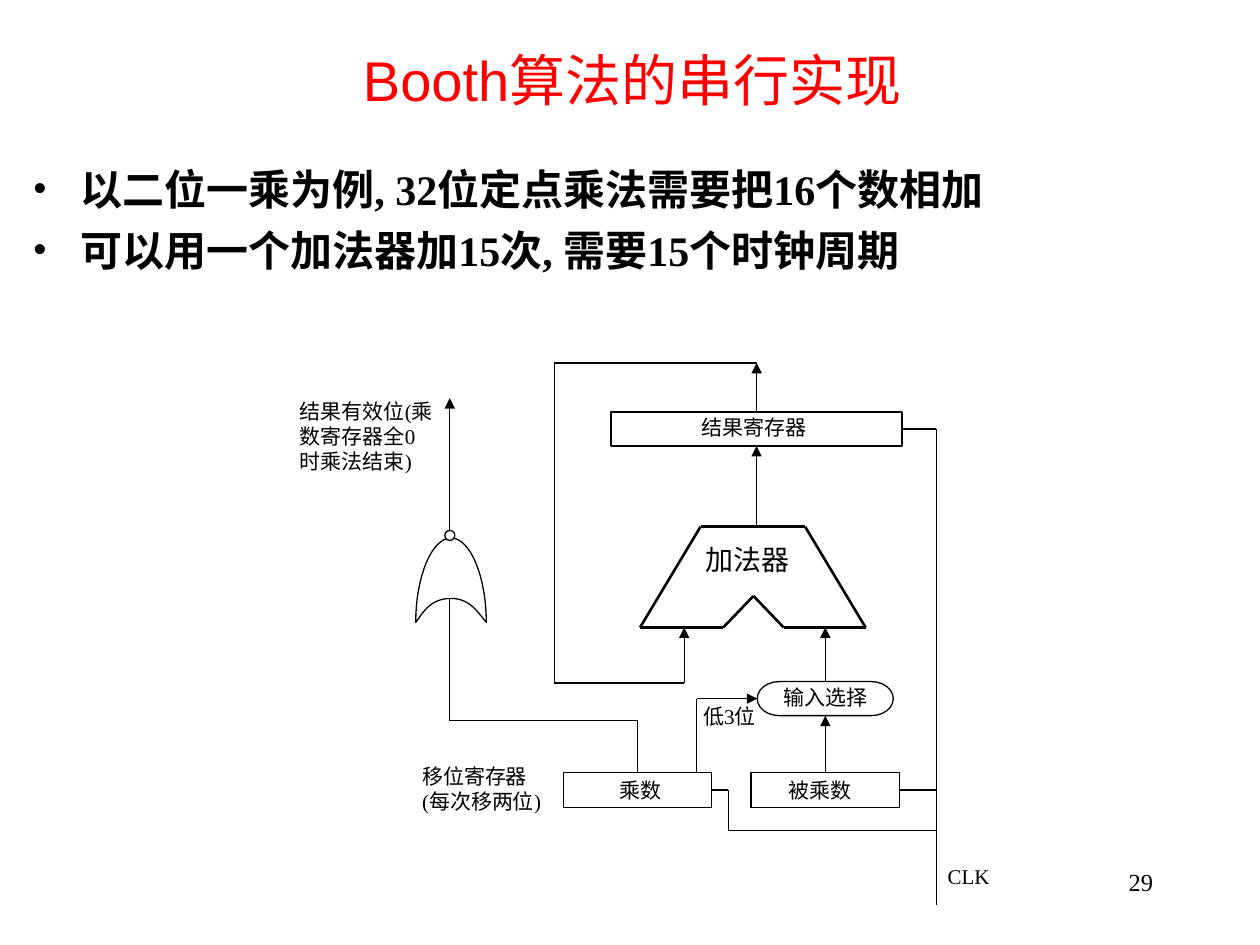
from itertools import pairwise
from pptx import Presentation
from pptx.dml.color import RGBColor
from pptx.enum.shapes import MSO_CONNECTOR, MSO_SHAPE
from pptx.enum.text import MSO_ANCHOR, PP_ALIGN
from pptx.oxml.ns import qn
from pptx.util import Inches, Pt
from lxml.etree import SubElement

COLS, ROWS = 100, 75
WIDE, HIGH = Inches(10), Inches(7.5)
BLACK, WHITE, RED = "000000", "FFFFFF", "FF0000"
SERIF, SANS = "Times New Roman", "Arial"

TITLE = "Booth算法的串行实现"
POINTS = ["以二位一乘为例, 32位定点乘法需要把16个数相加",
          "可以用一个加法器加15次, 需要15个时钟周期"]

BOXES = {
    "result": (MSO_SHAPE.RECTANGLE, (48.5, 32.7, 23.1, 2.7), WHITE),
    "factor": (MSO_SHAPE.RECTANGLE, (44.7, 61.3, 11.8, 2.8), WHITE),
    "operand": (MSO_SHAPE.RECTANGLE, (59.6, 61.3, 11.8, 2.8), WHITE),
    "select": (MSO_SHAPE.FLOWCHART_TERMINATOR, (60.1, 54.1, 10.8, 2.7), None),
    "bubble": (MSO_SHAPE.OVAL, (35.3, 42.1, 0.8, 0.8), WHITE),
}

LABELS = [
    ("加法器", (56, 43.1, 8.4, 3.6), 16),
    ("输入选择", (62.2, 54.3, 7.4, 2.1), 12),
    ("被乘数", (62.6, 61.7, 5.2, 2), 12),
    ("乘数", (49.2, 61.7, 4.1, 2), 12),
    ("低3位", (55.8, 55.8, 4.9, 4), 12),
    ("移位寄存器(每次移两位)", (33.5, 60.6, 9.9, 6), 12),
    ("CLK", (75.2, 68.5, 4.1, 2), 12),
    ("结果寄存器", (55.7, 32.9, 8.7, 2), 12),
    ("结果有效位(乘数寄存器全0时乘法结束)", (23.8, 31.6, 10.8, 8), 12),
]

ADDER = [(55.6, 41.8), (63.9, 41.8), (68.7, 49.8), (62.2, 49.8),
         (59.8, 47.3), (57.4, 49.8), (50.8, 49.8), (55.6, 41.8)]

GATE = [[(38.6, 49.4), (37.8, 48.4), (37.2, 47.5), (35.8, 47.5)],
        [(35.8, 47.5), (34.3, 47.5), (33.7, 48.4), (33, 49.4)],
        [(33, 49.4), (33, 45.7), (34.3, 42.7), (35.8, 42.7)],
        [(35.8, 42.7), (37.3, 42.7), (38.6, 45.7), (38.6, 49.4)]]

TOP, LEFT, BOTTOM, RIGHT = range(4)
ARROWS = [
    [("operand", TOP), ("select", BOTTOM)],
    [("select", TOP), (65.5, 49.8)],
    [("result", TOP), (60.05, 28.8)],
    [(60.05, 28.8), (44, 28.8), (44, 54.2), (54.3, 54.2), (54.3, 49.8)],
    [(55.3, 61.3), (55.3, 55.45), ("select", LEFT)],
    [(60.05, 41.8), ("result", BOTTOM)],
    [("bubble", TOP), (35.7, 31.6)],
]
WIRES = [
    [("result", RIGHT), (74.3, 34.05), (74.3, 71.8)],
    [("operand", RIGHT), (74.3, 62.7)],
    [("factor", RIGHT), (57.8, 62.7), (57.8, 65.9), (74.3, 65.9)],
    [(35.7, 47.5), (35.7, 57.2), (50.6, 57.2), ("factor", TOP)],
]

deck = Presentation()
deck.slide_width, deck.slide_height = WIDE, HIGH
slide = deck.slides.add_slide(deck.slide_layouts[6])
shapes = slide.shapes
made = {}


def place(x, y):
    return round(WIDE * x / COLS), round(HIGH * y / ROWS)


def area(x, y, w, h):
    return *place(x, y), *place(w, h)


def tint(code):
    return RGBColor.from_string(code)


def paint(shape, fill):
    shape.shadow.inherit = False
    if fill:
        shape.fill.solid()
        shape.fill.fore_color.rgb = tint(fill)
    else:
        shape.fill.background()
    shape.line.color.rgb = tint(BLACK)
    shape.line.width = Pt(0.75)


def write(lines, spot, size, font=SERIF, color=BLACK, bold=False,
          align=PP_ALIGN.LEFT, inset=(0, 0)):
    frame = shapes.add_textbox(*area(*spot)).text_frame
    frame.word_wrap = True
    frame.margin_left = frame.margin_right = Inches(inset[0])
    frame.margin_top = frame.margin_bottom = Inches(inset[1])
    frame.text = "\n".join(lines)
    for para in frame.paragraphs:
        para.alignment = align
        para.font.size = Pt(size)
        para.font.name = font
        para.font.bold = bold
        para.font.color.rgb = tint(color)
    return frame


def bullet(para):
    para.line_spacing = 1.1
    para.space_before = Pt(3)
    props = para._p.get_or_add_pPr()
    props.set("marL", str(Inches(0.38)))
    props.set("indent", str(-Inches(0.38)))
    face = SubElement(props, qn("a:buFont"))
    face.set("typeface", SERIF)
    mark = SubElement(props, qn("a:buChar"))
    mark.set("char", "•")
    props.find(qn("a:spcBef")).addnext(face)
    face.addnext(mark)


def spot(end):
    if end[0] not in BOXES:
        return end
    name, side = end
    x, y, w, h = BOXES[name][1]
    return [(x + w / 2, y), (x, y + h / 2),
            (x + w / 2, y + h), (x + w, y + h / 2)][side]


def trace(ends, arrow=False, width=0.75):
    for start, stop in pairwise(ends):
        line = shapes.add_connector(MSO_CONNECTOR.STRAIGHT,
                                    *place(*spot(start)), *place(*spot(stop)))
        if start[0] in made:
            line.begin_connect(made[start[0]], start[1])
        if stop[0] in made:
            line.end_connect(made[stop[0]], stop[1])
        line.line.color.rgb = tint(BLACK)
        line.line.width = Pt(width)
        if arrow and stop == ends[-1]:
            SubElement(line.line._get_or_add_ln(), qn("a:tailEnd")).set("type", "triangle")
        SubElement(line._element.spPr, qn("a:effectLst"))


def curve(a, b, c, d, steps=16):
    for i in range(1, steps + 1):
        t = i / steps
        s = 1 - t
        yield place(*(s**3 * p + 3 * s * s * t * q + 3 * s * t * t * r + t**3 * e
                      for p, q, r, e in zip(a, b, c, d)))


frame = write(POINTS, (1.6, 12.1, 96.5, 13.2), 24, bold=True, inset=(0.1, 0.05))
for para in frame.paragraphs:
    bullet(para)

trace(ADDER, width=1.5)
pen = shapes.build_freeform(*place(*GATE[0][0]))
pen.add_line_segments([dot for arc in GATE for dot in curve(*arc)], close=True)
paint(pen.convert_to_shape(), WHITE)
for name, (kind, box, fill) in BOXES.items():
    made[name] = shapes.add_shape(kind, *area(*box))
    paint(made[name], fill)
for ends in ARROWS:
    trace(ends, arrow=True)
for ends in WIRES:
    trace(ends)
for text, box, size in LABELS:
    write([text], box, size)

frame = write([TITLE], (7.7, 0, 85, 12.5), 32, SANS, RED,
              align=PP_ALIGN.CENTER, inset=(0.1, 0.05))
frame.vertical_anchor = MSO_ANCHOR.MIDDLE
write(["29"], (71.7, 68.3, 20.8, 5), 14, align=PP_ALIGN.RIGHT, inset=(0.1, 0.05))

deck.save("out.pptx")
